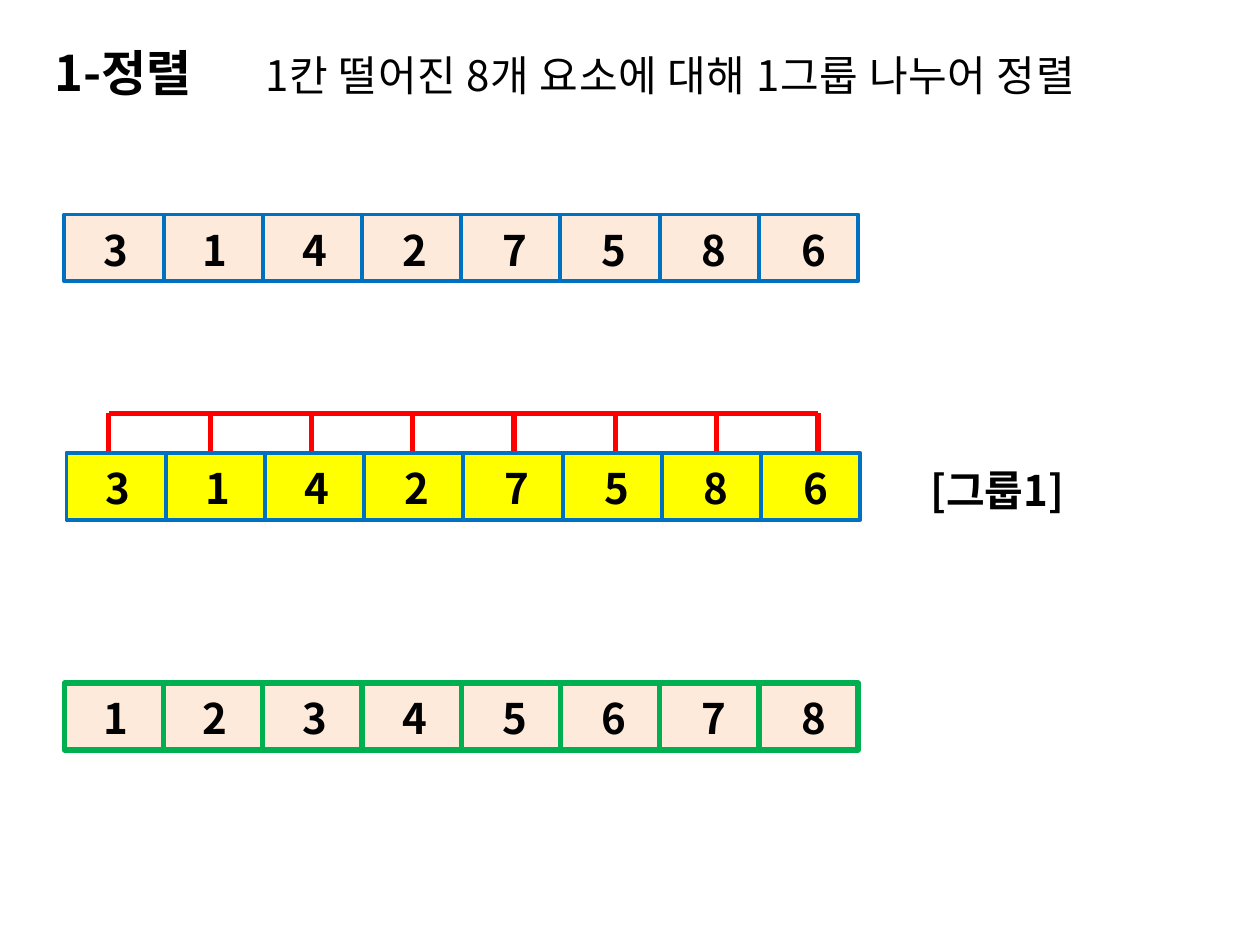
from pptx import Presentation
from pptx.dml.color import RGBColor
from pptx.enum.shapes import MSO_CONNECTOR, MSO_SHAPE
from pptx.enum.text import MSO_ANCHOR, MSO_AUTO_SIZE, PP_ALIGN
from pptx.oxml.ns import qn
from pptx.util import Pt
from lxml import etree

RECT, STRAIGHT = MSO_SHAPE.RECTANGLE, MSO_CONNECTOR.STRAIGHT
TOP, LEFT, NO_FIT = MSO_ANCHOR.TOP, PP_ALIGN.LEFT, MSO_AUTO_SIZE.NONE
FONT = "Noto Sans CJK KR"

# Content: text, box (left, top, width, height), size, bold, letter spacing
TITLE = ("1-정렬", (24, 20.9, 101, 41), 28, True)
TEXTS = [
    ("1칸 떨어진 8개 요소에 대해 1그룹 나누어 정렬", (144.7, 24.6, 540, 36), 24, False, 0.37),
    ("[그룹1]", (524.5, 262.1, 94.3, 36), 24, True),
]
ROWS = [
    dict(values="31427586", left=36.8, top=122.6, fill="FDEADA", line="0070C0", weight=2.25),
    dict(values="31427586", left=38, top=258.8, fill="FFFF00", line="0070C0", weight=2.25),
    dict(values="12345678", left=36.8, top=390.4, fill="FDEADA", line="00B050", weight=3),
]
CELL_W, CELL_H = 56.7, 38.2
DIGIT_DX, DIGIT_DY, DIGIT_STEP = 15.1, 2, 57
LINK = dict(left=62.2, top=236.2, bottom=260.6, step=57.9, count=7)


def color(value):
    return RGBColor.from_string(value)


def write(sp, text, size, bold, spacing=0):
    tf = sp.text_frame
    for name, value in dict(word_wrap=True, auto_size=NO_FIT, vertical_anchor=TOP).items():
        setattr(tf, name, value)
    p = tf.paragraphs[0]
    p.alignment = LEFT
    r = p.add_run()
    r.text = text
    for name, value in dict(name=FONT, size=Pt(size), bold=bold).items():
        setattr(r.font, name, value)
    r.font.color.rgb = color("000000")
    etree.SubElement(r.font._element, qn("a:ea")).set("typeface", FONT)
    if spacing:
        r.font._element.set("spc", str(round(spacing * 100)))


def add_text(text, box, *style):
    write(s.shapes.add_textbox(*map(Pt, box)), text, *style)


def add_line(shapes, x1, y1, x2, y2):
    line = shapes.add_connector(STRAIGHT, Pt(x1), Pt(y1), Pt(x2), Pt(y2))
    line.line.color.rgb = color("FF0000")
    line.line.width = Pt(3)
    etree.SubElement(line._element.spPr, qn("a:effectLst"))


def add_links(left, top, bottom, step, count):
    lines = s.shapes.add_group_shape().shapes
    for i in range(count + 1):
        x = left + i * step
        add_line(lines, x, top, x, bottom)
        if i < count:
            add_line(lines, x, top, x + step, top)


def add_row(values, left, top, fill, line, weight):
    cells = s.shapes.add_group_shape().shapes
    for i in range(len(values)):
        sp = cells.add_shape(RECT, Pt(left + i * CELL_W), Pt(top), Pt(CELL_W), Pt(CELL_H))
        sp.shadow.inherit = False
        sp.fill.solid()
        sp.fill.fore_color.rgb = color(fill)
        sp.line.color.rgb = color(line)
        sp.line.width = Pt(weight)
    for i, digit in enumerate(values):
        x = left + DIGIT_DX + i * DIGIT_STEP
        add_text(digit, (x, top + DIGIT_DY, 29, 36), 24, True)


prs = Presentation()
prs.slide_width, prs.slide_height = Pt(720), Pt(540)
s = prs.slides.add_slide(prs.slide_layouts[5])

# Title and labels
title = s.shapes.title
text, box, *style = TITLE
title.left, title.top, title.width, title.height = map(Pt, box)
write(title, text, *style)
for item in TEXTS:
    add_text(*item)

# Brackets joining neighbouring elements, behind the middle row
add_links(**LINK)

# Rows of elements
for row in ROWS:
    add_row(**row)

prs.save("out.pptx")
